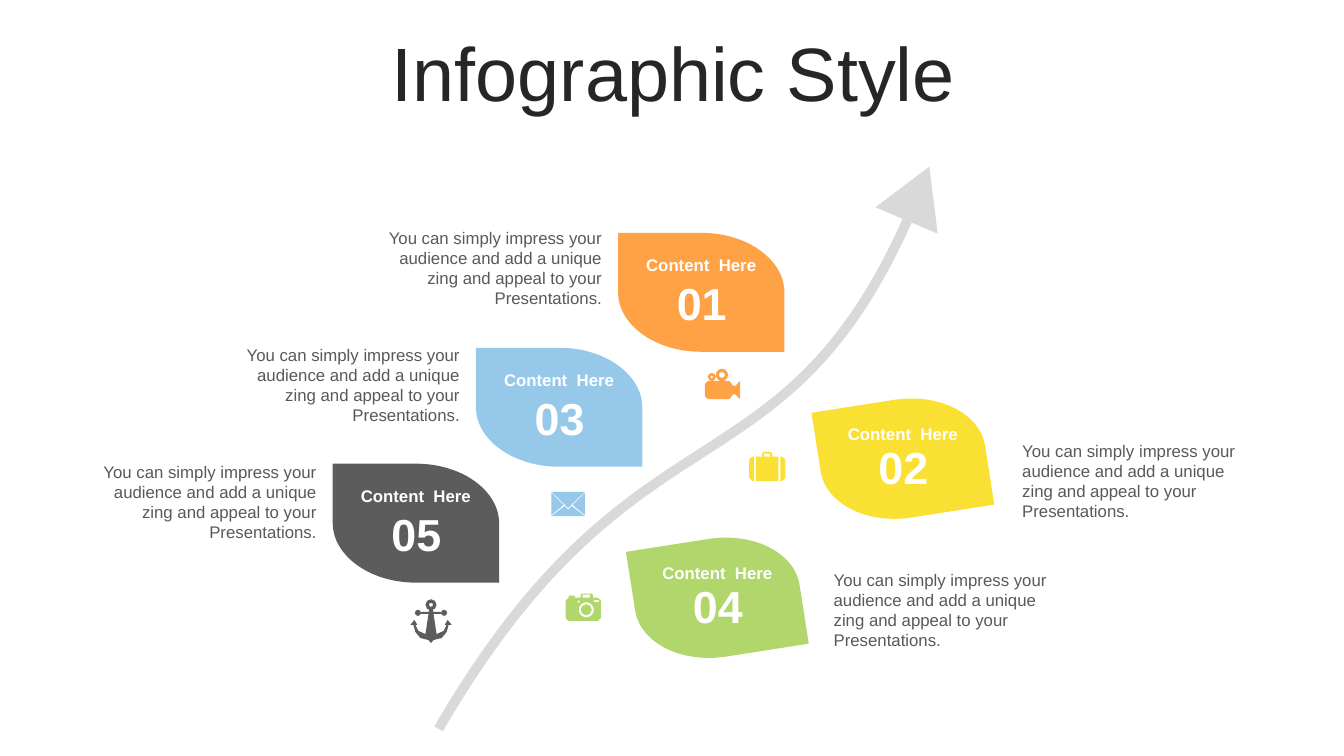
from dataclasses import dataclass

from pptx import Presentation
from pptx.dml.color import RGBColor
from pptx.enum import shapes, text
from pptx.oxml import ns, xmlchemy
from pptx.util import Inches, Pt

FONT = "Arial"
INK = RGBColor(0x26, 0x26, 0x26)
CAPTION_GRAY = RGBColor(0x59, 0x59, 0x59)
ARROW_GRAY = RGBColor(0xD9, 0xD9, 0xD9)
WHITE = RGBColor(0xFF, 0xFF, 0xFF)
ORANGE = RGBColor(0xFF, 0xA2, 0x46)
YELLOW = RGBColor(0xFB, 0xE0, 0x34)
BLUE = RGBColor(0x96, 0xC8, 0xE9)
GREEN = RGBColor(0xB0, 0xD6, 0x6C)
CHARCOAL = RGBColor(0x5C, 0x5C, 0x5C)

CAPTION = ("You can simply impress your audience and add a unique zing "
           "and appeal to your Presentations.")
LEAF_W, LEAF_H = 1.65, 1.18
CAPTION_W, CAPTION_H = 2.36, 0.91
TILT = -8.9
ICON_UNIT = 0.01  # inches


def circle(cx, cy, r):
    k = 0.55 * r
    return [(cx + r, cy),
            (cx + r, cy + k, cx + k, cy + r, cx, cy + r),
            (cx - k, cy + r, cx - r, cy + k, cx - r, cy),
            (cx - r, cy - k, cx - k, cy - r, cx, cy - r),
            (cx + k, cy - r, cx + r, cy - k, cx + r, cy)]


def rect(x, y, w, h):
    return [(x, y), (x + w, y), (x + w, y + h), (x, y + h)]


def mirror(points, width):
    return [(width - x, y) for x, y in reversed(points)]


# In an outline, two numbers are a corner and six are a cubic curve.
LEAF = [(0.5, 0), (0, 0), (0, 0.5), (0, 0.77, 0.22, 1, 0.5, 1),
        (1, 1), (1, 0.5), (1, 0.23, 0.78, 0, 0.5, 0)]
GROWTH_CURVE = [(0, 1), (0.42, 0.35, 0.73, 0.59, 1, 0)]

# Icon outlines in hundredths of an inch; an outline inside another is a hole.
ENVELOPE = [
    [(20, 14), (33, 24), (0, 24), (13, 14), (16.5, 17.5)],
    [(33, 1), (33, 23), (21, 13)],
    [(0, 1), (12, 13), (0, 23)],
    [(0, 0), (33, 0), (16.5, 16)],
]
CAMERA = [
    [(16, 0), (26, 0), (27, 1), (27, 4), (32, 4), (35, 7), (35, 24), (32, 27),
     (3, 27), (0, 24), (0, 7), (3, 4), (3, 2), (9, 2), (9, 4), (15, 4), (15, 1)],
    circle(20.5, 16, 7.5), circle(20.5, 16, 5.5),
    rect(12, 7, 2, 2), rect(28, 6.5, 5, 2), rect(17, 1, 7, 3),
]
MOVIE_CAMERA = [
    [(3, 12), (24, 12), (27, 15), (27, 16), (30, 17), (35, 12), (35, 30),
     (30, 25), (27, 26), (27, 27), (24, 30), (3, 30), (0, 27), (0, 15)],
    circle(17, 6, 6), circle(17, 6, 3), circle(7, 8, 4), circle(7, 8, 1.5),
]
CASE_SIDE = [(5, 5), (3, 5), (0, 8), (0, 26), (3, 29), (5, 29)]
SUITCASE = [
    CASE_SIDE, mirror(CASE_SIDE, 36),
    [(15, 0), (21, 0), (23, 2), (23, 5), (29, 5), (29, 29), (7, 29), (7, 5),
     (13, 5), (13, 2)],
    rect(15, 2, 6, 3),
]
ANCHOR_HALF = [(22.5, 10), (22.5, 12), (31, 12), (31, 14), (23, 14), (26, 34),
               (33, 31), (36, 25), (34, 25), (37, 20), (41, 25), (38, 25),
               (36, 32), (31, 38), (23, 40), (20.5, 43)]
ANCHOR = [
    ANCHOR_HALF + mirror(ANCHOR_HALF, 41),
    circle(20.5, 5, 5.5), circle(20.5, 5, 2),
    circle(7.5, 13, 3), circle(33.5, 13, 3),
]


@dataclass
class Step:
    number: str
    color: RGBColor
    left: float
    top: float
    caption_at: tuple
    icon: list
    icon_at: tuple
    tilted: bool = False


STEPS = [
    Step("01", ORANGE, 6.13, 2.31, (3.71, 2.21), MOVIE_CAMERA, (6.99, 3.66)),
    Step("03", BLUE, 4.72, 3.45, (2.3, 3.37), ENVELOPE, (5.47, 4.88)),
    Step("05", CHARCOAL, 3.3, 4.6, (0.88, 4.53), ANCHOR, (4.07, 5.95)),
    Step("04", GREEN, 6.29, 5.34, (8.17, 5.6), CAMERA, (5.61, 5.89), True),
    Step("02", YELLOW, 8.13, 3.96, (10.04, 4.32), SUITCASE, (7.43, 4.48), True),
]


def bend_curves(sp, outlines):
    """Join the three lines through each curve's points into one curve."""
    lines = iter(list(sp.element.iter(ns.qn("a:lnTo"))))
    for outline in outlines:
        for segment in outline[1:]:
            group = [next(lines) for _ in range(len(segment) // 2)]
            if len(group) == 3:
                curve = xmlchemy.OxmlElement("a:cubicBezTo")
                group[0].addprevious(curve)
                for line in group:
                    curve.append(line[0])
                    line.getparent().remove(line)


def add_outline(slide, outlines, left, top, sx=1, sy=1, close=True):
    """Freeform of outlines, scaled by sx and sy inches per unit."""
    builder = None
    for outline in outlines:
        points = [(Inches(segment[i] * sx), Inches(segment[i + 1] * sy))
                  for segment in outline for i in range(0, len(segment), 2)]
        if builder is None:
            builder = slide.shapes.build_freeform(*points[0], scale=1.0)
        else:
            builder.move_to(*points[0])
        builder.add_line_segments(points[1:], close=close)
    sp = builder.convert_to_shape(Inches(left), Inches(top))
    bend_curves(sp, outlines)
    sp.shadow.inherit = False
    return sp


def fill(sp, color):
    sp.fill.solid()
    sp.fill.fore_color.rgb = color
    sp.line.fill.background()


def add_text(slide, words, box, size, color, align=text.PP_ALIGN.CENTER,
             bold=False, anchor=text.MSO_ANCHOR.TOP):
    tf = slide.shapes.add_textbox(*map(Inches, box)).text_frame
    tf.word_wrap = True
    tf.vertical_anchor = anchor
    tf.text = words
    p = tf.paragraphs[0]
    p.alignment = align
    font = p.runs[0].font
    font.name, font.size, font.bold = FONT, Pt(size), bold
    font.color.rgb = color
    return p


def add_title(slide, box):
    p = add_text(slide, "Infographic Style", box, 54, INK,
                 anchor=text.MSO_ANCHOR.MIDDLE)
    p.line_spacing = 0.9


def add_growth_arrow(slide, left, top, width, height):
    sp = add_outline(slide, [GROWTH_CURVE], left, top, width, height, close=False)
    sp.fill.background()
    sp.line.color.rgb = ARROW_GRAY
    sp.line.width = Pt(7)
    head = slide.shapes.add_shape(
        shapes.MSO_SHAPE.ISOSCELES_TRIANGLE, Inches(left + width - 0.33),
        Inches(top - 0.32), Inches(0.67), Inches(0.58))
    head.rotation = 22.9
    head.shadow.inherit = False
    fill(head, ARROW_GRAY)


def add_step(slide, step):
    leaf = add_outline(slide, [LEAF], step.left, step.top, LEAF_W, LEAF_H)
    leaf.rotation = TILT if step.tilted else 0
    fill(leaf, step.color)
    shift = 0.02 if step.tilted else 0
    add_text(slide, step.number,
             (step.left + 0.47, step.top + 0.37 - shift, 0.72, 0.64),
             32, WHITE, bold=True, anchor=text.MSO_ANCHOR.MIDDLE)
    add_text(slide, "Content  Here",
             (step.left + 0.05, step.top + 0.17 + shift, 1.55, 0.3),
             12, WHITE, bold=True)
    align = text.PP_ALIGN.LEFT if step.tilted else text.PP_ALIGN.RIGHT
    add_text(slide, CAPTION, (*step.caption_at, CAPTION_W, CAPTION_H),
             12, CAPTION_GRAY, align)
    icon = add_outline(slide, step.icon, *step.icon_at, ICON_UNIT, ICON_UNIT)
    fill(icon, step.color)


def main():
    prs = Presentation()
    prs.slide_width, prs.slide_height = Inches(13.33), Inches(7.5)
    slide = prs.slides.add_slide(prs.slide_layouts[6])
    add_title(slide, (0.35, 0.37, 12.66, 0.79))
    add_growth_arrow(slide, 4.35, 1.95, 4.75, 5.28)
    for step in STEPS:
        add_step(slide, step)
    prs.save("out.pptx")


if __name__ == "__main__":
    main()
